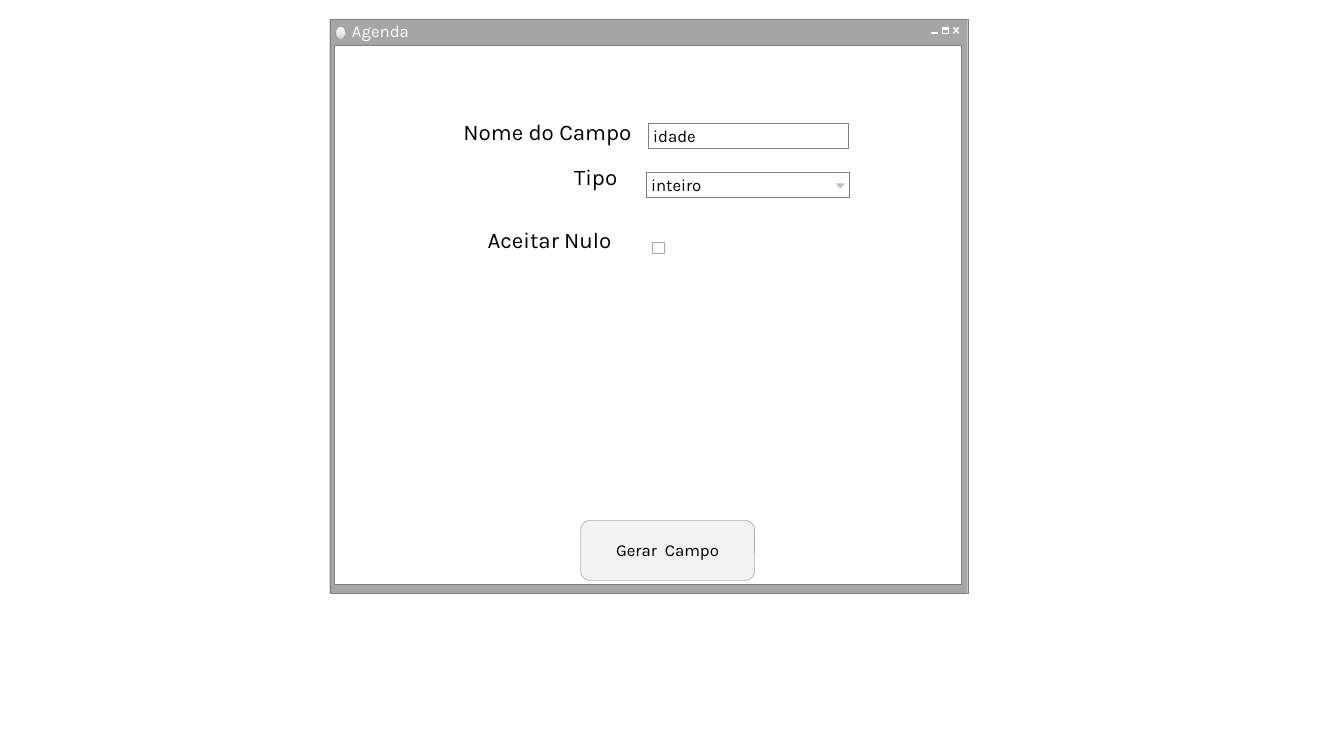
import copy
import pptx
import pptx.dml.color
import pptx.enum.shapes
import pptx.enum.text
import pptx.oxml
import pptx.oxml.ns
import pptx.util

Cm, Pt = pptx.util.Cm, pptx.util.Pt
KIND = pptx.enum.shapes.MSO_SHAPE
ALIGN = pptx.enum.text.PP_ALIGN
GREY, WHITE, PALE, BLACK = "808080", "FFFFFF", "F2F2F2", "000000"


def tint(form, color):
    """Give a fill, line fill or font color a hex color."""
    if hasattr(form, "solid"):
        form.solid()
        form = form.fore_color
    form.rgb = pptx.dml.color.RGBColor.from_string(color)


def draw(kind, box, fill=None, line=GREY, width=0.25, text="", size=12,
         color=BLACK, inset=(0.13, 0.05, 0.13, 0.05), align=ALIGN.LEFT):
    """Add a preset shape, or a fitted text box when kind is None."""
    place = [Cm(n) for n in box]
    if kind is None:
        shape = slide.shapes.add_textbox(*place)
    else:
        shape = slide.shapes.add_shape(kind, *place)
        shape.shadow.inherit = False
        if fill:
            tint(shape.fill, fill)
        else:
            shape.fill.background()
        if line:
            tint(shape.line.fill, line)
            shape.line.width = Pt(width)
        else:
            shape.line.fill.background()
    if text:
        frame = shape.text_frame
        frame.word_wrap = kind is not None
        if kind is None:
            frame.auto_size = pptx.enum.text.MSO_AUTO_SIZE.SHAPE_TO_FIT_TEXT
        frame.vertical_anchor = pptx.enum.text.MSO_ANCHOR.MIDDLE
        (frame.margin_left, frame.margin_top,
         frame.margin_right, frame.margin_bottom) = [Cm(n) for n in inset]
        para = frame.paragraphs[0]
        para.text = text
        para.alignment = align
        para.font.name = "Karla"
        para.font.size = Pt(size)
        tint(para.font.color, color)
    return shape


deck = pptx.Presentation()
deck.slide_width, deck.slide_height = Cm(33.87), Cm(19.05)
slide = deck.slides.add_slide(deck.slide_layouts[6])

# Window frame and title bar
draw(KIND.RECTANGLE, (8.31, 0.48, 16.08, 14.48), "A6A6A6")
draw(KIND.RECTANGLE, (8.43, 1.14, 15.8, 13.59), WHITE)
draw(None, (8.74, 0.51, 1.85, 0.58), text="Agenda", color=WHITE,
     inset=(0.13, 0.05, 0.25, 0.08))

# Close, maximize and minimize marks
for top, end in ((0.69, 0.84), (0.84, 0.69)):
    cross = slide.shapes.add_connector(
        pptx.enum.shapes.MSO_CONNECTOR.STRAIGHT,
        Cm(24.03), Cm(top), Cm(24.16), Cm(end))
    tint(cross.line.fill, WHITE)
    cross.line.width = Pt(1)
    cross._element.spPr.append(pptx.oxml.parse_xml(
        "<a:effectLst %s/>" % pptx.oxml.ns.nsdecls("a")))
draw(KIND.RECTANGLE, (23.75, 0.71, 0.15, 0.03), "919191", WHITE)
draw(KIND.RECTANGLE, (23.75, 0.69, 0.15, 0.15), None, WHITE, 1)
draw(KIND.RECTANGLE, (23.47, 0.81, 0.15, 0.03), "919191", WHITE)

# Shaded dot
dot = draw(KIND.OVAL, (8.46, 0.66, 0.25, 0.33), PALE)
dot.fill.gradient()
dot.fill.gradient_angle = 270
stops = dot._element.spPr.find(".//" + pptx.oxml.ns.qn("a:gsLst"))
stops.append(copy.deepcopy(stops[-1]))
shades = ((0.36, PALE), (0.91, "D9D9D9"), (1, PALE))
for stop, (spot, shade) in zip(dot.fill.gradient_stops, shades):
    stop.position = spot
    tint(stop.color, shade)

# Form labels
for text, box in (("Nome do Campo", (11.43, 2.92, 4.85, 0.81)),
                  ("Tipo", (14.22, 4.06, 1.63, 0.81)),
                  ("Aceitar Nulo", (12.04, 5.64, 3.84, 0.84))):
    draw(None, box, text=text, size=16, inset=(0.25, 0.05, 0.25, 0.08))

# Form fields
draw(KIND.RECTANGLE, (16.33, 3.1, 5.05, 0.64), WHITE, text="idade")
draw(KIND.RECTANGLE, (16.28, 4.34, 5.11, 0.64), WHITE, text="inteiro")
arrow = draw(KIND.ISOSCELES_TRIANGLE, (21.06, 4.62, 0.23, 0.13), "BFBFBF", None)
arrow.rotation = 180
draw(KIND.RECTANGLE, (16.43, 6.1, 0.3, 0.28), WHITE, "A6A6A6")
draw(KIND.ROUNDED_RECTANGLE, (14.63, 13.11, 4.39, 1.52), PALE,
     text="Gerar  Campo", inset=(0.25, 0, 0.25, 0.03), align=ALIGN.CENTER)

deck.save("out.pptx")
